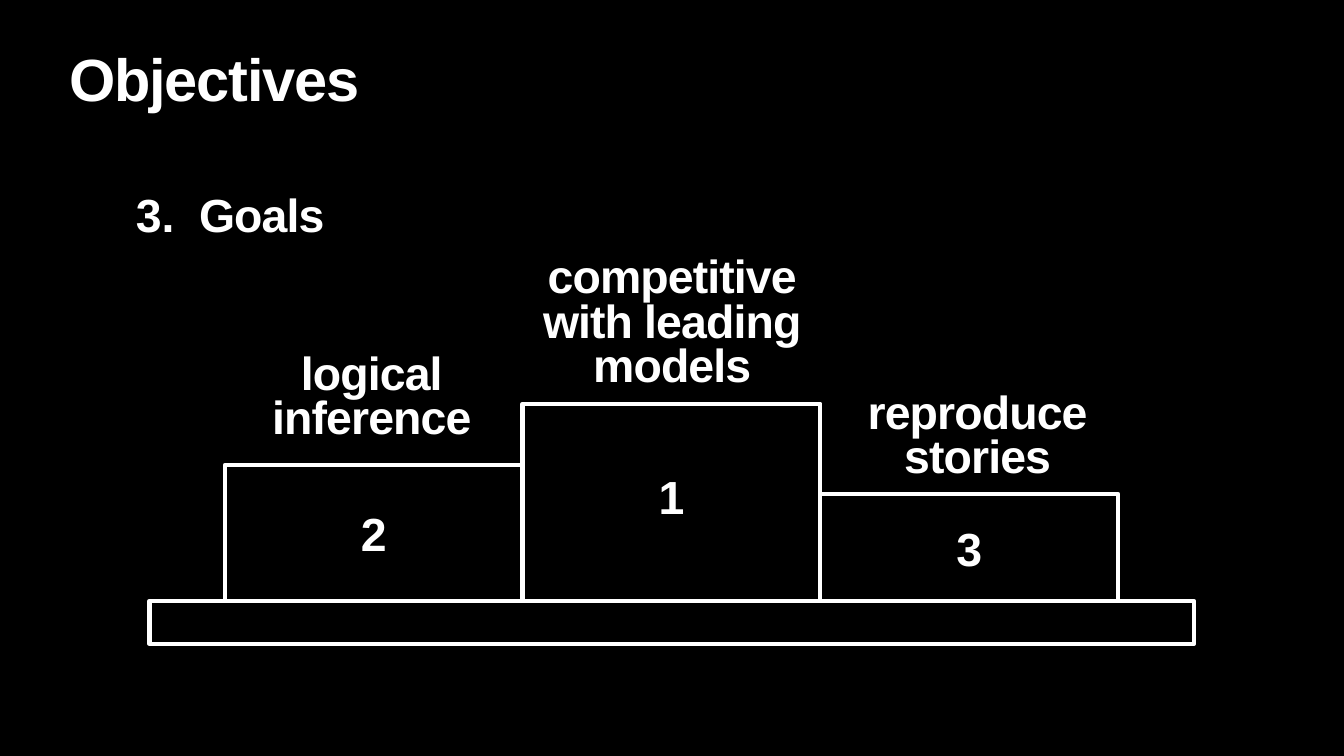
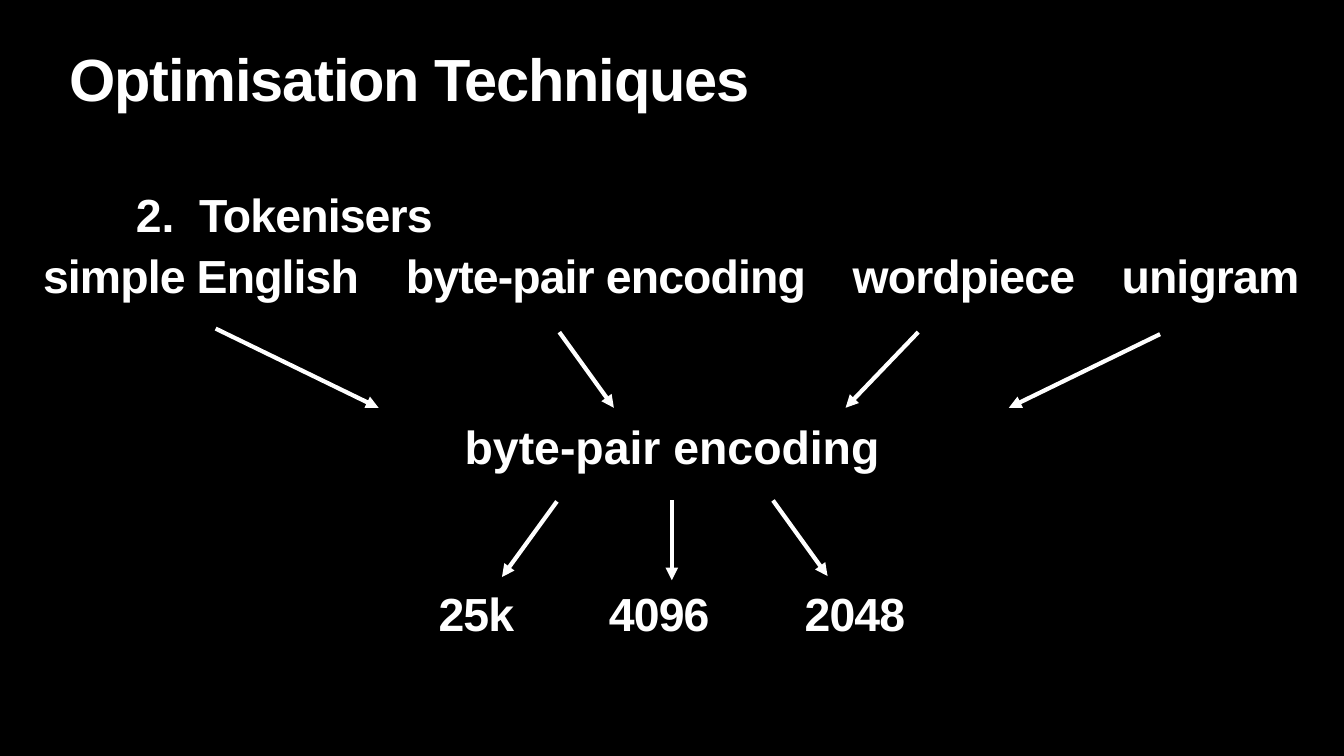
from lxml.etree import SubElement
from pptx import Presentation
from pptx.dml.color import RGBColor
from pptx.enum.shapes import MSO_CONNECTOR, MSO_SHAPE
from pptx.enum.text import MSO_ANCHOR, MSO_AUTO_SIZE, PP_ALIGN
from pptx.oxml.ns import qn
from pptx.util import Cm, Pt

BLACK = RGBColor(0x00, 0x00, 0x00)
WHITE = RGBColor(0xFF, 0xFF, 0xFF)
FONT = "Arial"
TITLE_SIZE = 85
BODY_SIZE = 66.3
LINE_WIDTH = Pt(6)
INSET = 0.15


def write_text(frame, text, size=BODY_SIZE, align=PP_ALIGN.LEFT, line_spacing=0.8,
               tracking=-1.3, inset=INSET, auto_size=MSO_AUTO_SIZE.NONE):
    """Fill a text frame, one paragraph per line, and return its paragraphs."""
    frame.word_wrap = True
    frame.auto_size = auto_size
    frame.vertical_anchor = MSO_ANCHOR.TOP
    frame.margin_left = frame.margin_right = Cm(inset)
    frame.margin_top = frame.margin_bottom = Cm(inset)
    for index, line in enumerate(text.split("\n")):
        paragraph = frame.add_paragraph() if index else frame.paragraphs[0]
        paragraph.alignment = align
        paragraph.line_spacing = line_spacing
        paragraph.space_before = Pt(0)
        run = paragraph.add_run()
        run.text = line
        run.font.name = FONT
        run.font.size = Pt(size)
        run.font.bold = True
        run.font.color.rgb = WHITE
        run._r.get_or_add_rPr().set("spc", str(round(tracking * 100)))
    return frame.paragraphs


def place(shape, left, top, width, height):
    shape.left, shape.top = Cm(left), Cm(top)
    shape.width, shape.height = Cm(width), Cm(height)


class Deck:
    """Holds the shared style and the current slide."""

    def __init__(self):
        self.presentation = Presentation()
        self.presentation.slide_width = Cm(67.74)
        self.presentation.slide_height = Cm(38.1)
        background = self.presentation.slide_master.background.fill
        background.solid()
        background.fore_color.rgb = BLACK
        self.slide = None

    def new_slide(self, title, number, heading):
        layout = self.presentation.slide_layouts[1]
        self.slide = self.presentation.slides.add_slide(layout)
        title_shape = self.slide.shapes.title
        place(title_shape, 3.35, 2.64, 61.04, 3.99)
        write_text(title_shape.text_frame, title, size=TITLE_SIZE, tracking=-1.7)

        # Numbered heading
        body = self.slide.placeholders[1]
        place(body, 6.7, 9.75, 61.04, 28.35)
        paragraph = write_text(body.text_frame, heading)[0]
        properties = paragraph._p.get_or_add_pPr()
        properties.set("marL", str(Cm(3.18)))
        properties.set("indent", str(-Cm(3.18)))
        SubElement(properties, qn("a:buFont"), typeface=FONT)
        SubElement(properties, qn("a:buAutoNum"), type="arabicPeriod", startAt=str(number))

    def text(self, text, left, top, width, height, **text_format):
        box = self.slide.shapes.add_textbox(Cm(left), Cm(top), Cm(width), Cm(height))
        text_format.setdefault("align", PP_ALIGN.CENTER)
        return write_text(box.text_frame, text, **text_format)

    def text_row(self, entries, left, top, width, height):
        """Set the entries on one line, each centred on a tab stop."""
        line = "".join(f"\t{word}" for word, _ in entries)
        paragraph = self.text(line, left, top, width, height, align=PP_ALIGN.LEFT)[0]
        tabs = SubElement(paragraph._p.get_or_add_pPr(), qn("a:tabLst"))
        for _, center in entries:
            SubElement(tabs, qn("a:tab"), pos=str(Cm(center - left - INSET)), algn="ctr")

    def outline(self, left, top, width, height):
        shape = self.slide.shapes.add_shape(
            MSO_SHAPE.RECTANGLE, Cm(left), Cm(top), Cm(width), Cm(height))
        shape.shadow.inherit = False
        shape.fill.background()
        shape.line.color.rgb = WHITE
        shape.line.width = LINE_WIDTH

    def arrow(self, start, end):
        connector = self.slide.shapes.add_connector(
            MSO_CONNECTOR.STRAIGHT, *map(Cm, start), *map(Cm, end))
        connector.line.color.rgb = WHITE
        connector.line.width = LINE_WIDTH
        properties = connector._element.spPr
        SubElement(properties.find(qn("a:ln")), qn("a:tailEnd"), type="triangle")
        SubElement(properties, qn("a:effectLst"))


def build_objectives(deck):
    deck.new_slide("Objectives", 3, "Goals")

    # Podium
    base_top, step_left, step_width = 30.28, 11.33, 15.01
    number_width = 3.81
    deck.outline(7.54, base_top, 52.63, 2.18)
    steps = [
        # place, step top, number top, label, label box
        ("2", 23.44, 25.86, "logical\ninference", (11.63, 17.73, 14.22, 6.07)),
        ("1", 20.35, 23.98, "competitive\nwith leading\nmodels", (25.93, 12.85, 15.9, 9.53)),
        ("3", 24.89, 26.62, "reproduce\nstories", (42.16, 19.69, 14.22, 6.07)),
    ]
    for index, (number, top, number_top, label, label_box) in enumerate(steps):
        left = step_left + index * step_width
        deck.outline(left, top, step_width, base_top - top)
        deck.text(number, left + (step_width - number_width) / 2, number_top,
                  number_width, 2.95)
        deck.text(label, *label_box)


def build_tokenisers(deck):
    deck.new_slide("Optimisation Techniques", 2, "Tokenisers")

    # Candidates, choice and vocabulary sizes
    candidates = [("simple English", 10.13), ("byte-pair encoding", 30.54),
                  ("wordpiece", 48.58), ("unigram", 61.01)]
    vocabulary_sizes = [("25k", 24.01), ("4096", 33.23), ("2048", 43.09)]
    deck.text_row(candidates, 1.35, 12.85, 65.05, 3.99)
    deck.text("byte-pair encoding", 21.01, 20.85, 25.76, 3.1, line_spacing=1.0,
              tracking=0, inset=0.2, auto_size=MSO_AUTO_SIZE.SHAPE_TO_FIT_TEXT)
    deck.text_row(vocabulary_sizes, 21.01, 29.9, 25.76, 3.99)

    # Arrows to the choice, then to the sizes
    arrows = [
        ((10.87, 16.56), (19.08, 20.55)),
        ((28.19, 16.74), (30.94, 20.55)),
        ((46.28, 16.74), (42.62, 20.55)),
        ((58.47, 16.84), (50.85, 20.55)),
        ((38.96, 25.22), (41.71, 29.03)),
        ((28.07, 25.27), (25.3, 29.08)),
        ((33.86, 25.22), (33.86, 29.24)),
    ]
    for start, end in arrows:
        deck.arrow(start, end)


def main():
    deck = Deck()
    build_objectives(deck)
    build_tokenisers(deck)
    deck.presentation.save("out.pptx")


if __name__ == "__main__":
    main()
